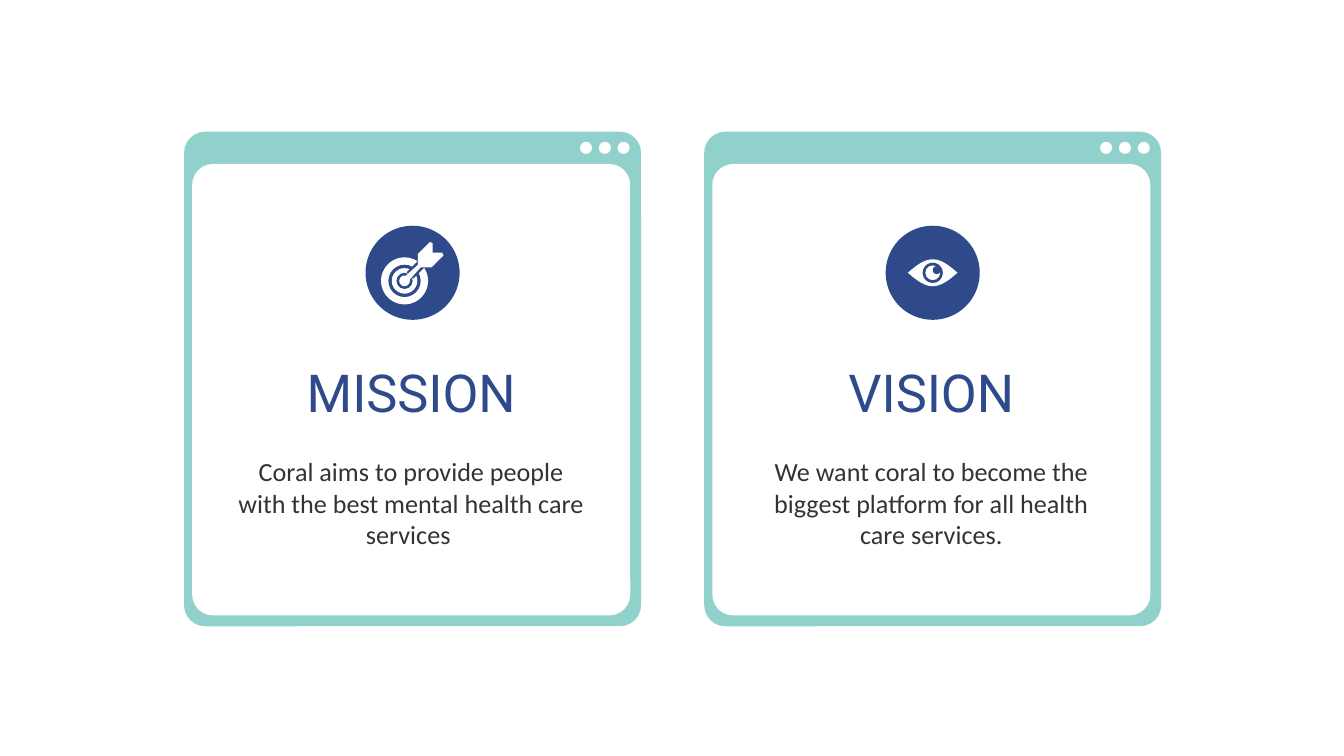
from dataclasses import dataclass
from math import cos, pi
from typing import Callable

from lxml import etree
from pptx import Presentation
from pptx.dml.color import RGBColor
from pptx.enum.shapes import MSO_CONNECTOR, MSO_SHAPE
from pptx.enum.text import MSO_ANCHOR, PP_ALIGN
from pptx.oxml.ns import qn
from pptx.util import Inches, Pt

ROUNDED = MSO_SHAPE.ROUNDED_RECTANGLE
OVAL = MSO_SHAPE.OVAL
STRAIGHT = MSO_CONNECTOR.STRAIGHT
TOP = MSO_ANCHOR.TOP
CENTER = PP_ALIGN.CENTER

TEAL, BLUE, WHITE, GREY = "90D1CB", "2F4A8A", "FFFFFF", "333333"


@dataclass
class Card:
    left: float
    heading: str
    statement: str
    draw_icon: Callable[[float, float], None]


def rgb(color: str) -> RGBColor:
    return RGBColor.from_string(color)


def paint(shape, color: str) -> None:
    shape.shadow.inherit = False
    shape.fill.solid()
    shape.fill.fore_color.rgb = rgb(color)
    shape.line.fill.background()


def add_panel(left: float, top: float, width: float, height: float,
              color: str, rounding: float) -> None:
    panel = slide.shapes.add_shape(ROUNDED, Inches(left), Inches(top),
                                   Inches(width), Inches(height))
    panel.adjustments[0] = rounding
    paint(panel, color)


def add_disc(x: float, y: float, diameter: float, color: str) -> None:
    disc = slide.shapes.add_shape(OVAL, Inches(x - diameter / 2), Inches(y - diameter / 2),
                                  Inches(diameter), Inches(diameter))
    paint(disc, color)


def add_outline(points: list[tuple[float, float]], color: str) -> None:
    corners = [(Inches(x), Inches(y)) for x, y in points]
    builder = slide.shapes.build_freeform(*corners[0])
    builder.add_line_segments(corners[1:], close=True)
    paint(builder.convert_to_shape(), color)


def add_text(left: float, top: float, height: float, text: str,
             font: str, size: int, color: str) -> None:
    box = slide.shapes.add_textbox(Inches(left), Inches(top), Inches(2.8), Inches(height))
    frame = box.text_frame
    frame.word_wrap = True
    frame.vertical_anchor = TOP
    frame.margin_left = frame.margin_right = Inches(0.1)
    frame.margin_top = frame.margin_bottom = Inches(0.1)
    frame.text = text
    paragraph = frame.paragraphs[0]
    paragraph.alignment = CENTER
    run_font = paragraph.runs[0].font
    run_font.name, run_font.size = font, Pt(size)
    run_font.color.rgb = rgb(color)


def draw_target(x: float, y: float) -> None:
    # Rings around the bull's-eye
    hub_x, hub_y = x - 0.06, y + 0.06
    for diameter, color in ((0.35, WHITE), (0.24, BLUE), (0.19, WHITE),
                            (0.12, BLUE), (0.08, WHITE)):
        add_disc(hub_x, hub_y, diameter, color)

    # Gap in the rings that lets the dart through
    gap = slide.shapes.add_connector(STRAIGHT, Inches(hub_x + 0.04), Inches(hub_y - 0.04),
                                     Inches(hub_x + 0.16), Inches(hub_y - 0.16))
    gap.line.width = Pt(5)
    gap.line.color.rgb = rgb(BLUE)
    etree.SubElement(gap._element.spPr, qn("a:effectLst"))

    # The dart mirrors itself across its diagonal
    side = [(0, -0.03), (0.1, -0.12), (0.1, -0.2), (0.19, -0.29), (0.21, -0.28),
            (0.21, -0.21)]
    mirrored = [(-dy, -dx) for dx, dy in reversed(side)]
    add_outline([(hub_x + dx, hub_y + dy) for dx, dy in side + mirrored], WHITE)


def draw_eye(x: float, y: float) -> None:
    steps = 24
    upper = [(-0.185 + 0.37 * i / steps, -0.1 * cos(pi * (i / steps - 0.5)))
             for i in range(steps + 1)]
    lower = [(-dx, -dy) for dx, dy in upper[1:-1]]
    add_outline([(x + dx, y + dy) for dx, dy in upper + lower], WHITE)
    add_disc(x, y, 0.15, BLUE)
    add_disc(x, y, 0.11, WHITE)
    add_disc(x + 0.03, y - 0.02, 0.06, BLUE)


def draw_card(card: Card) -> None:
    # Window frame with its three buttons
    add_panel(card.left, 0.98, 3.4, 3.68, TEAL, 0.046)
    add_panel(card.left + 0.06, 1.22, 3.26, 3.36, WHITE, 0.048)
    for i in range(3):
        add_disc(card.left + 3.27 - 0.14 * i, 1.1, 0.09, WHITE)

    # Icon badge
    badge_x, badge_y = card.left + 1.7, 2.03
    add_disc(badge_x, badge_y, 0.7, BLUE)
    card.draw_icon(badge_x, badge_y)

    # Wording
    add_text(card.left + 0.29, 2.58, 0.51, card.heading, "Roboto", 28, BLUE)
    add_text(card.left + 0.29, 3.29, 0.96, card.statement, "Calibri", 14, GREY)


presentation = Presentation()
presentation.slide_width = Inches(10)
presentation.slide_height = Inches(10) * 9 // 16
slide = presentation.slides.add_slide(presentation.slide_layouts[6])

cards = [
    Card(1.37, "MISSION",
         "Coral aims to provide people with the best mental health care services ",
         draw_target),
    Card(5.24, "VISION",
         "We want coral to become the biggest platform for all health care services.",
         draw_eye),
]
for card in cards:
    draw_card(card)

presentation.save("out.pptx")
